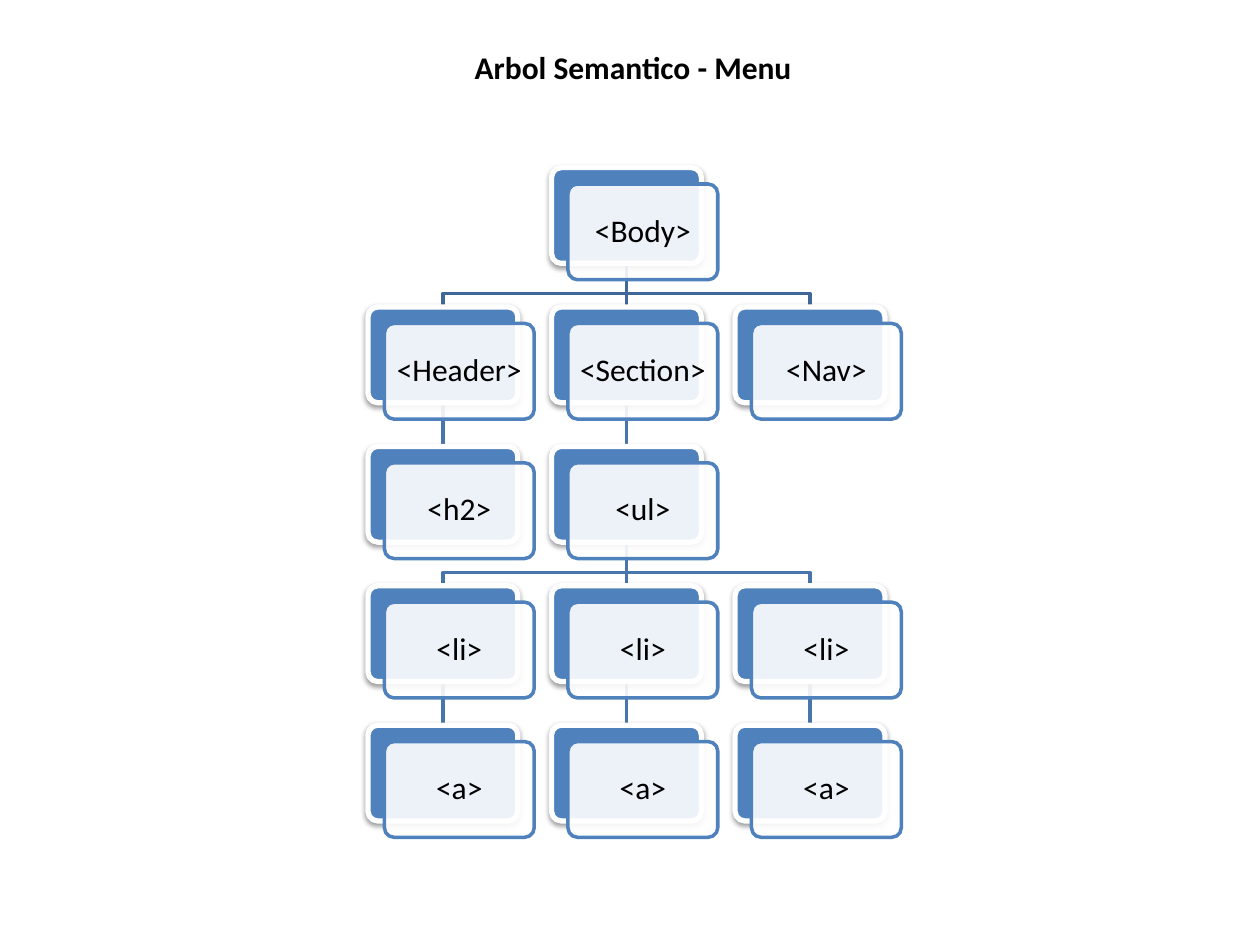
"""Builds a slide with the semantic tree of an HTML menu."""
from typing import NamedTuple

from lxml import etree
from pptx import Presentation
from pptx import util as u
from pptx.dml.color import RGBColor
from pptx.enum import shapes, text
from pptx.oxml.ns import qn

COL_0, ROW_0 = 7.42, 3.38
COL_STEP, ROW_STEP = 3.7, 2.81
CARD_W, CARD_H, CARD_SHIFT = 3.02, 1.93, 0.33
ELBOW_DROP = 0.61
BLUE, WHITE, BLACK = "4F81BD", "FFFFFF", "000000"
TOP_LINK, LINK = "3F6797", "4875AC"

CARD_FRAME = {
    "margin_left": u.Cm(0.16),
    "margin_right": u.Cm(0.16),
    "margin_top": u.Cm(0.18),
    "margin_bottom": u.Cm(0.18),
    "vertical_anchor": text.MSO_ANCHOR.MIDDLE,
    "word_wrap": True,
}
CARD_PARAGRAPH = {"alignment": text.PP_ALIGN.CENTER, "line_spacing": 0.9}
TITLE_FRAME = {"word_wrap": False, "auto_size": text.MSO_AUTO_SIZE.SHAPE_TO_FIT_TEXT}
CARD_FONT = {"name": "Calibri", "size": u.Pt(18)}
TITLE_FONT = {**CARD_FONT, "bold": True}


class Node(NamedTuple):
    """A tag placed on the grid, with the column of its parent one row above."""

    tag: str
    row: int
    col: int
    parent_col: int | None = None

    @property
    def left(self) -> float:
        return COL_0 + self.col * COL_STEP

    @property
    def top(self) -> float:
        return ROW_0 + self.row * ROW_STEP


NODES = [
    Node("<Body>", 0, 1),
    Node("<Header>", 1, 0, 1),
    Node("<Section>", 1, 1, 1),
    Node("<Nav>", 1, 2, 1),
    Node("<h2>", 2, 0, 0),
    Node("<ul>", 2, 1, 1),
    *(Node("<li>", 3, col, 1) for col in range(3)),
    *(Node("<a>", 4, col, col) for col in range(3)),
]


def rgb(value: str) -> RGBColor:
    """Turn a hex string into a colour."""
    return RGBColor.from_string(value)


def apply(target, values: dict) -> None:
    """Set each attribute of the target from a dict."""
    for name, value in values.items():
        setattr(target, name, value)


def set_line(sp, color: str, width: float) -> None:
    """Give a shape or connector a solid line."""
    sp.line.color.rgb = rgb(color)
    sp.line.width = u.Pt(width)


def write(tf, words: str, frame: dict, paragraph: dict, font: dict) -> None:
    """Fill a text frame with one formatted run."""
    apply(tf, frame)
    p = tf.paragraphs[0]
    apply(p, paragraph)
    r = p.add_run()
    r.text = words
    apply(r.font, font)
    r.font.color.rgb = rgb(BLACK)


def add_link(s, node: Node) -> None:
    """Draw the straight or elbowed line from a node's parent to the node."""
    parent = Node("", node.row - 1, node.parent_col)
    x1, x2 = (u.Cm(n.left + CARD_W / 2) for n in (parent, node))
    y1, y2 = u.Cm(parent.top + CARD_H), u.Cm(node.top)
    if x1 == x2:
        sp = s.shapes.add_connector(shapes.MSO_CONNECTOR.STRAIGHT, x1, y1, x2, y2)
    else:
        elbow = y1 + u.Cm(ELBOW_DROP)
        path = s.shapes.build_freeform(x1, y1)
        path.add_line_segments([(x1, elbow), (x2, elbow), (x2, y2)], close=False)
        sp = path.convert_to_shape()
        sp.fill.background()
    set_line(sp, TOP_LINK if node.row == 1 else LINK, 2)
    etree.SubElement(sp._element.spPr, qn("a:effectLst"))


def add_card(s, left: float, top: float, fill: str, line: str, width: float):
    """Draw one rounded card without a shadow."""
    sp = s.shapes.add_shape(shapes.MSO_SHAPE.ROUNDED_RECTANGLE,
                            u.Cm(left), u.Cm(top), u.Cm(CARD_W), u.Cm(CARD_H))
    sp.adjustments[0] = 0.1
    sp.fill.solid()
    sp.fill.fore_color.rgb = rgb(fill)
    set_line(sp, line, width)
    sp.shadow.inherit = False
    return sp


def add_alpha(color, percent: int) -> None:
    """Make a colour element partly transparent."""
    etree.SubElement(color, qn("a:alpha"), val=str(percent * 1000))


def add_node(s, node: Node) -> None:
    """Draw a shadowed blue card and the translucent labelled card over it."""
    back = add_card(s, node.left, node.top, BLUE, WHITE, 3)
    effects = back._element.spPr.find(qn("a:effectLst"))
    shadow = etree.SubElement(effects, qn("a:outerShdw"), blurRad=str(u.Pt(3.1)),
                              dist=str(u.Pt(1.6)), dir="5400000", rotWithShape="0")
    add_alpha(etree.SubElement(shadow, qn("a:srgbClr"), val=BLACK), 38)

    front = add_card(s, node.left + CARD_SHIFT, node.top + CARD_SHIFT, WHITE, BLUE, 2)
    add_alpha(front._element.spPr.find(qn("a:solidFill"))[0], 90)
    write(front.text_frame, node.tag, CARD_FRAME, CARD_PARAGRAPH, CARD_FONT)


def main() -> None:
    """Build and save the slide."""
    prs = Presentation()
    prs.slide_width, prs.slide_height = u.Cm(25.4), u.Cm(19.05)
    s = prs.slides.add_slide(prs.slide_layouts[6])
    for node in NODES:
        if node.parent_col is not None:
            add_link(s, node)
    for node in NODES:
        add_node(s, node)
    title = s.shapes.add_textbox(u.Cm(9.32), u.Cm(0.84), u.Cm(6.99), u.Cm(1.02))
    write(title.text_frame, "Arbol Semantico - Menu", TITLE_FRAME, {}, TITLE_FONT)
    prs.save("out.pptx")


if __name__ == "__main__":
    main()
